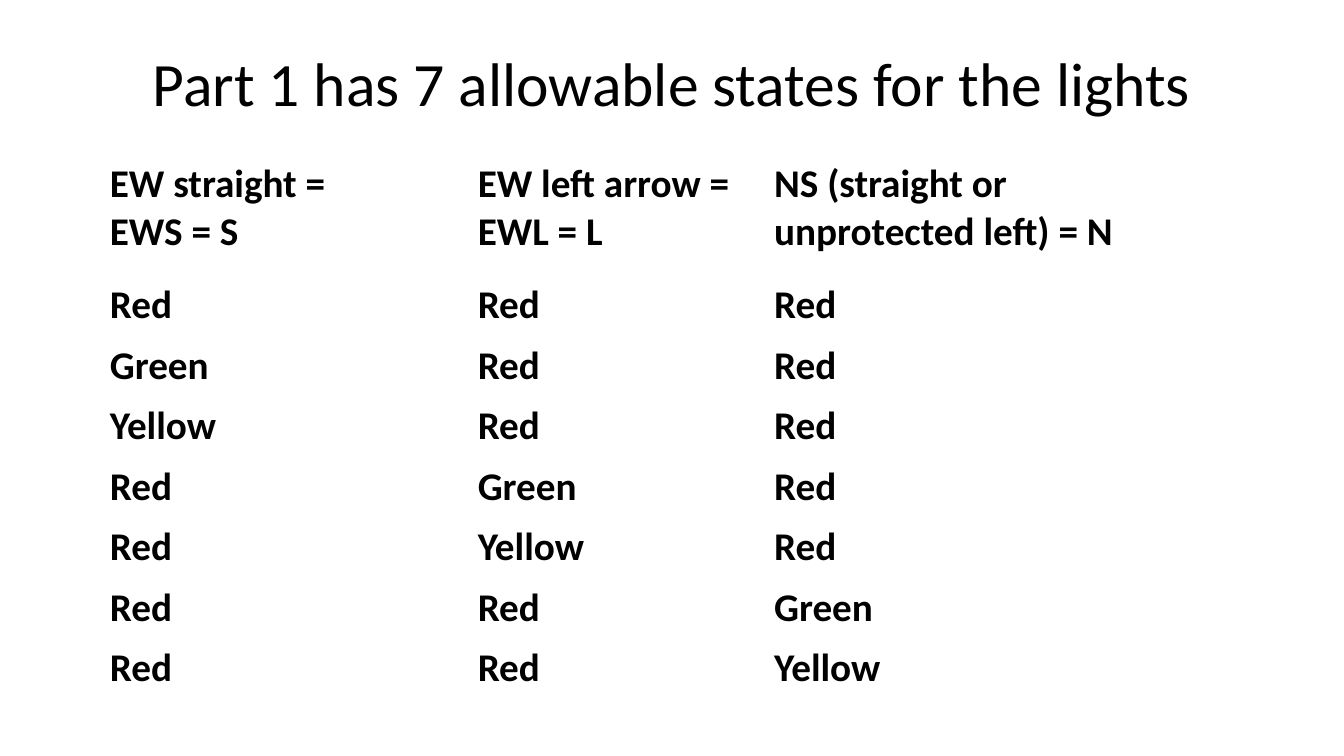
from lxml import etree
from pptx import Presentation
from pptx.dml.color import RGBColor
from pptx.enum.text import MSO_ANCHOR, PP_ALIGN
from pptx.oxml.ns import qn
from pptx.util import Pt

MIDDLE = MSO_ANCHOR.MIDDLE
CENTER = PP_ALIGN.CENTER
TITLE_ONLY = 5
FONT = "Calibri"
COLORS = {"ink": "000000", "paper": "FFFFFF"}

HEADERS = [
    ["EW straight =", "EWS = S"],
    ["EW left arrow = EWL = L"],
    ["NS (straight or unprotected left) = N"],
]
STATES = [
    ("Red", "Red", "Red"),
    ("Green", "Red", "Red"),
    ("Yellow", "Red", "Red"),
    ("Red", "Green", "Red"),
    ("Red", "Yellow", "Red"),
    ("Red", "Red", "Green"),
    ("Red", "Red", "Yellow"),
]
COLUMN_WIDTHS = [262.8, 211.7, 313.9]
ROW_HEIGHT = 43.25


def add_span(para, text, size, bold=False):
    span = para.add_run()
    span.text = text
    span.font.name = FONT
    span.font.size = Pt(size)
    span.font.bold = bold
    span.font.color.rgb = RGBColor.from_string(COLORS["ink"])


def add_border(cell, side, width):
    """Draw one side (L, R, T or B) of a table cell."""
    line = etree.SubElement(cell._tc.get_or_add_tcPr(), qn(f"a:ln{side}"), w=str(Pt(width)))
    fill = etree.SubElement(line, qn("a:solidFill"))
    etree.SubElement(fill, qn("a:srgbClr"), val=COLORS["paper"])


deck = Presentation()
deck.slide_width, deck.slide_height = Pt(960), Pt(540)
page = deck.slides.add_slide(deck.slide_layouts[TITLE_ONLY])

title = page.shapes.title
title.left, title.top, title.width, title.height = Pt(66), Pt(28.8), Pt(828), Pt(65.5)
title.text_frame.vertical_anchor = MIDDLE
para = title.text_frame.paragraphs[0]
para.alignment = CENTER
para.line_spacing = 0.9
add_span(para, "Part 1 has 7 allowable states for the lights", 44)

rows = [HEADERS] + [[[light] for light in state] for state in STATES]
last_row = len(rows) - 1
table = page.shapes.add_table(
    len(rows), len(HEADERS), Pt(73.4), Pt(114.5),
    Pt(sum(COLUMN_WIDTHS)), Pt(ROW_HEIGHT * (len(rows) + 1)),
).table
for column, width in zip(table.columns, COLUMN_WIDTHS):
    column.width = Pt(width)

for row_index, row in enumerate(rows):
    table.rows[row_index].height = Pt(ROW_HEIGHT * (2 if row_index == 0 else 1))
    for column_index, lines in enumerate(row):
        cell = table.cell(row_index, column_index)
        cell.margin_left = cell.margin_right = Pt(5.1)
        cell.margin_top = cell.margin_bottom = 0
        for side in "LRTB":
            thick = (row_index, side) in [(0, "B"), (last_row, "T")]
            add_border(cell, side, 3 if thick else 1)
        cell.fill.solid()
        cell.fill.fore_color.rgb = RGBColor.from_string(COLORS["paper"])
        for line_index, text in enumerate(lines):
            frame = cell.text_frame
            para = frame.add_paragraph() if line_index else frame.paragraphs[0]
            add_span(para, text, 28, bold=True)

deck.save("out.pptx")
